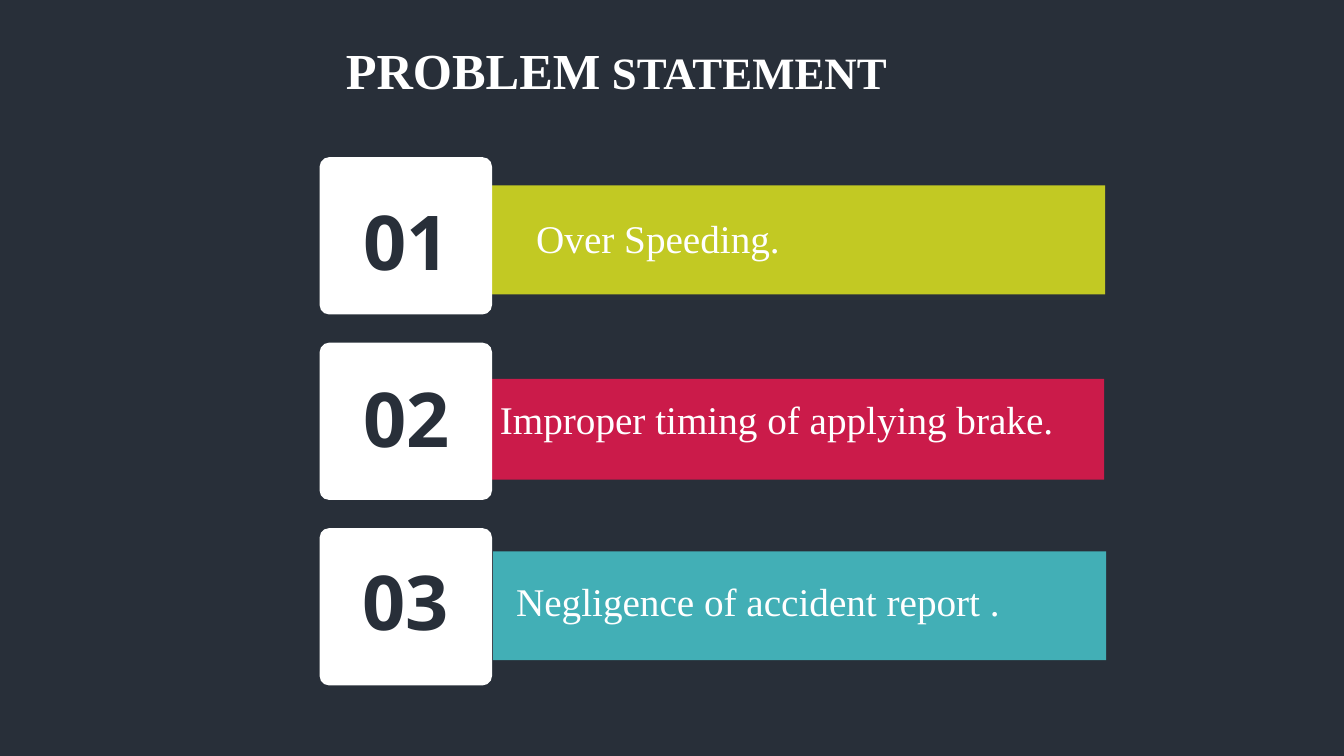
from dataclasses import dataclass

from pptx import Presentation
from pptx.dml.color import RGBColor
from pptx.enum.shapes import MSO_SHAPE
from pptx.enum.text import MSO_ANCHOR, PP_ALIGN
from pptx.util import Inches, Pt

TITLE = [("PROBLEM", 36), (" STATEMENT", 32)]
TITLE_BOX = (3.33, 0.34, 6.67, 0.71)
PROBLEMS = [
    {"number": "01", "text": "Over Speeding.", "color": "C2C923",
     "bar": (4.87, 1.84, 6.09, 1.08), "number_at": (3.51, 1.88), "text_box": (5.22, 2.08, 4.26, 0.57)},
    {"number": "02", "text": "Improper timing of applying brake.", "color": "CB1B4A",
     "bar": (4.86, 3.76, 6.09, 1), "number_at": (3.51, 3.64), "text_box": (4.86, 3.87, 6.1, 0.57)},
    {"number": "03", "text": "Negligence of accident report .", "color": "42AFB6",
     "bar": (4.89, 5.47, 6.08, 1.08), "number_at": (3.5, 5.46), "text_box": (5.02, 5.68, 5.65, 0.57)},
]
CARD_LEFT, CARD_TOP, CARD_PITCH = 3.17, 1.56, 1.84
CARD_SIZE = (1.71, 1.56)
NUMBER_SIZE = (1.07, 1.03)


@dataclass(frozen=True)
class Theme:
    background: str = "282F39"
    light: str = "FFFFFF"
    text_font: str = "Times New Roman"
    number_font: str = "Open Sans"
    text_size: int = 28
    number_size: int = 54


THEME = Theme()


def add_block(slide, kind, box, color):
    shape = slide.shapes.add_shape(kind, *map(Inches, box))
    shape.shadow.inherit = False
    shape.fill.solid()
    shape.fill.fore_color.rgb = RGBColor.from_string(color)
    shape.line.fill.background()
    return shape


def format_font(font, name, size, color, bold=False):
    font.name = name
    font.size = Pt(size)
    font.bold = bold
    font.color.rgb = RGBColor.from_string(color)


def add_label(slide, text, box, *font_style):
    text_frame = slide.shapes.add_textbox(*map(Inches, box)).text_frame
    text_frame.word_wrap = True
    text_frame.text = text
    format_font(text_frame.paragraphs[0].runs[0].font, *font_style)


def add_title(slide):
    title = slide.shapes.title
    title.left, title.top, title.width, title.height = map(Inches, TITLE_BOX)
    title.text_frame.vertical_anchor = MSO_ANCHOR.TOP
    paragraph = title.text_frame.paragraphs[0]
    paragraph.alignment = PP_ALIGN.LEFT
    paragraph.line_spacing = 1.0
    for text, size in TITLE:
        run = paragraph.add_run()
        run.text = text
        format_font(run.font, THEME.text_font, size, THEME.light, True)


def add_problem(slide, index, problem):
    add_block(slide, MSO_SHAPE.RECTANGLE, problem["bar"], problem["color"])
    card_box = (CARD_LEFT, CARD_TOP + index * CARD_PITCH, *CARD_SIZE)
    card = add_block(slide, MSO_SHAPE.ROUNDED_RECTANGLE, card_box, THEME.light)
    card.adjustments[0] = 0.06
    add_label(slide, problem["number"], (*problem["number_at"], *NUMBER_SIZE),
              THEME.number_font, THEME.number_size, THEME.background, True)
    add_label(slide, problem["text"], problem["text_box"],
              THEME.text_font, THEME.text_size, THEME.light)


def main():
    presentation = Presentation()
    presentation.slide_width = Inches(13.33)
    presentation.slide_height = Inches(7.5)
    slide = presentation.slides.add_slide(presentation.slide_layouts[5])
    slide.background.fill.solid()
    slide.background.fill.fore_color.rgb = RGBColor.from_string(THEME.background)
    add_title(slide)
    for index, problem in enumerate(PROBLEMS):
        add_problem(slide, index, problem)
    presentation.save("out.pptx")


if __name__ == "__main__":
    main()
